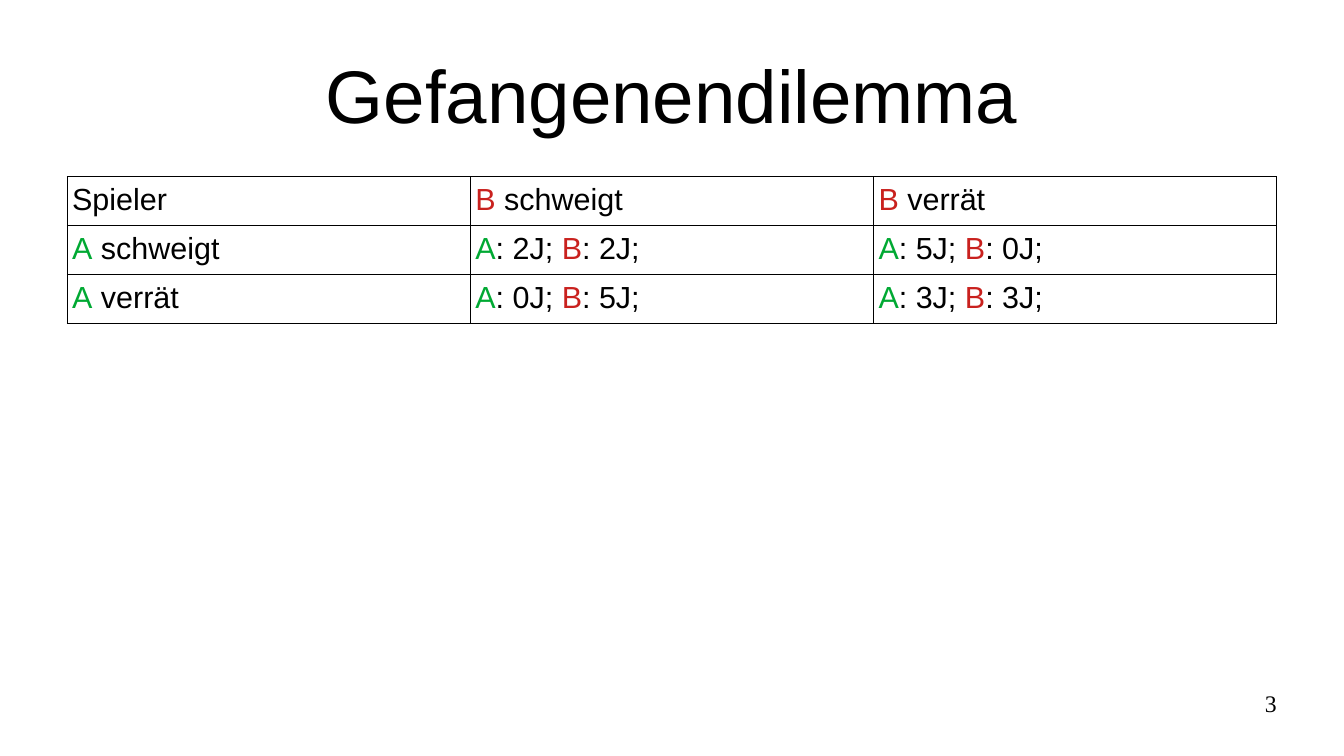
from lxml import etree
from pptx import Presentation
from pptx.dml.color import RGBColor
from pptx.enum.text import MSO_ANCHOR, PP_ALIGN
from pptx.oxml.ns import qn
from pptx.util import Pt

CENTER, RIGHT = PP_ALIGN.CENTER, PP_ALIGN.RIGHT
TOP, MIDDLE = MSO_ANCHOR.TOP, MSO_ANCHOR.MIDDLE

BLACK = RGBColor(0x00, 0x00, 0x00)
WHITE = RGBColor(0xFF, 0xFF, 0xFF)
GREEN = RGBColor(0x00, 0xA9, 0x33)
RED = RGBColor(0xC9, 0x21, 0x1E)
PLAYER_COLORS = {"A": GREEN, "B": RED}

LEFT, CONTENT_WIDTH = 39.7, 714.1
ROW_HEIGHT = 28.9
BORDER_WIDTH = 0.57

PAYOFFS = [
    [["Spieler"], ["B", " schweigt"], ["B", " verrät"]],
    [["A", " schweigt"], ["A", ": 2J; ", "B", ": 2J;"], ["A", ": 5J; ", "B", ": 0J;"]],
    [["A", " verrät"], ["A", ": 0J; ", "B", ": 5J;"], ["A", ": 3J; ", "B", ": 3J;"]],
]


def add_run(paragraph, text, size, font_name="Arial", color=BLACK):
    run = paragraph.add_run()
    run.text = text
    run.font.size = Pt(size)
    run.font.name = font_name
    run.font.color.rgb = color


def add_text(slide, text, left, top, width, height, size, align, anchor, font_name="Arial"):
    box = slide.shapes.add_textbox(Pt(left), Pt(top), Pt(width), Pt(height))
    frame = box.text_frame
    frame.word_wrap = True
    frame.vertical_anchor = anchor
    frame.margin_left = frame.margin_top = frame.margin_right = frame.margin_bottom = 0
    paragraph = frame.paragraphs[0]
    paragraph.alignment = align
    add_run(paragraph, text, size, font_name)


def add_borders(cell):
    properties = cell._tc.get_or_add_tcPr()
    for position, side in enumerate(("a:lnL", "a:lnR", "a:lnT", "a:lnB")):
        line = etree.Element(qn(side), w=str(Pt(BORDER_WIDTH)))
        fill = etree.SubElement(line, qn("a:solidFill"))
        etree.SubElement(fill, qn("a:srgbClr"), val=str(BLACK))
        properties.insert(position, line)


def fill_cell(cell, parts):
    cell.fill.solid()
    cell.fill.fore_color.rgb = WHITE
    cell.margin_left = cell.margin_right = Pt(2.9)
    cell.margin_top = cell.margin_bottom = Pt(3.6)
    for part in parts:
        add_run(cell.text_frame.paragraphs[0], part, 18, color=PLAYER_COLORS.get(part, BLACK))
    add_borders(cell)


def add_payoff_table(slide, top):
    row_count, column_count = len(PAYOFFS), len(PAYOFFS[0])
    table = slide.shapes.add_table(
        row_count, column_count, Pt(LEFT), Pt(top),
        Pt(CONTENT_WIDTH), Pt(ROW_HEIGHT * row_count),
    ).table
    table.first_row = table.horz_banding = False
    for row, cells in zip(table.rows, PAYOFFS):
        row.height = Pt(ROW_HEIGHT)
        for cell, parts in zip(row.cells, cells):
            fill_cell(cell, parts)


def main():
    presentation = Presentation()
    presentation.slide_width = Pt(793.44)
    presentation.slide_height = Pt(446.4)
    slide = presentation.slides.add_slide(presentation.slide_layouts[6])
    add_text(slide, "Gefangenendilemma", LEFT, 18, CONTENT_WIDTH, 74.9, 44, CENTER, MIDDLE)
    add_payoff_table(slide, 104.4)
    add_text(slide, "3", 568.8, 406.8, 185, 31, 14, RIGHT, TOP, "Times New Roman")
    presentation.save("out.pptx")


if __name__ == "__main__":
    main()
